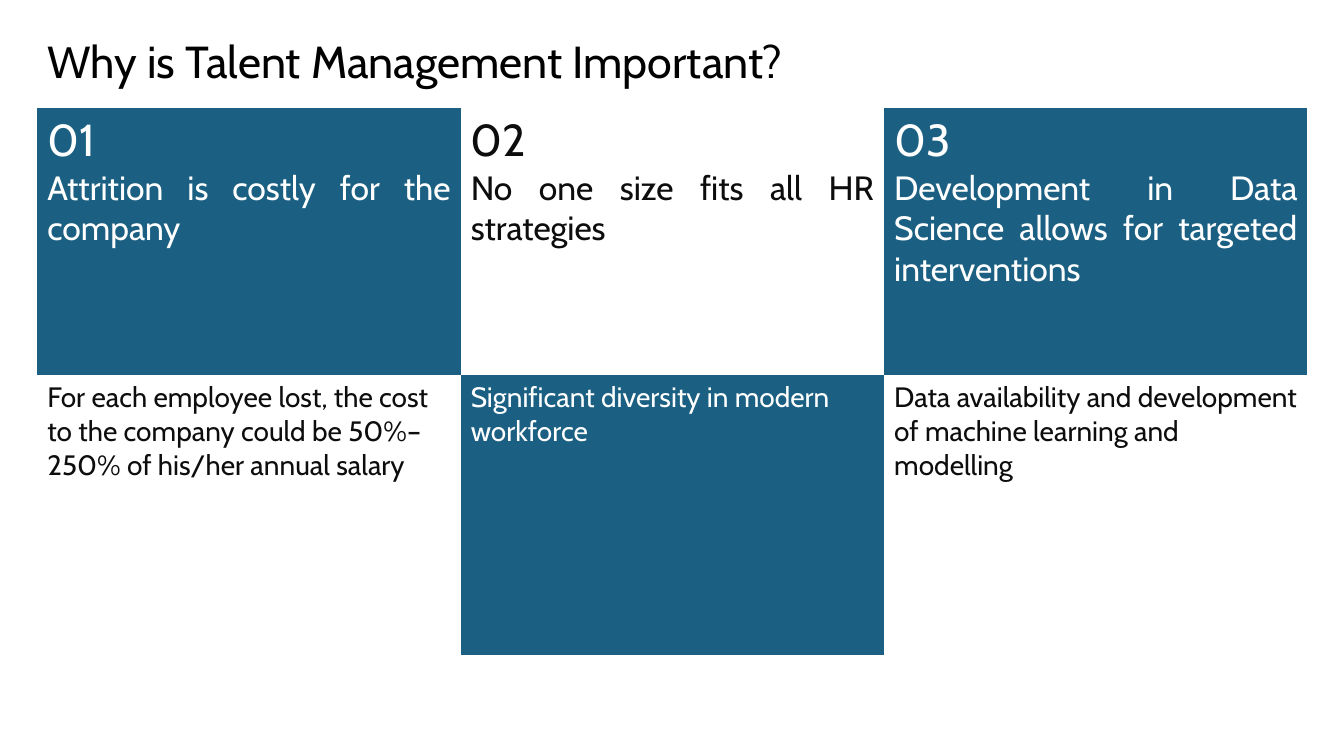
from dataclasses import dataclass

from pptx import Presentation
from pptx.dml.color import RGBColor
from pptx.enum.text import MSO_ANCHOR, PP_ALIGN
from pptx.util import Cm, Pt

LEFT, JUSTIFY = PP_ALIGN.LEFT, PP_ALIGN.JUSTIFY
MIDDLE = MSO_ANCHOR.MIDDLE
BLANK_LAYOUT = 6
NO_STYLE_NO_GRID = "{2D5ABB26-0587-4C30-8999-92F81FD0307C}"

TITLE = "Why is Talent Management Important?"
REASONS = [
    ("Attrition is costly for the company",
     "For each employee lost, the cost to the company could be 50%–250% "
     "of his/her annual salary"),
    ("No one size fits all HR strategies",
     "Significant diversity in modern workforce"),
    ("Development in Data Science allows for targeted interventions",
     "Data availability and development of machine learning and modelling"),
]


@dataclass(frozen=True)
class Theme:
    font: str = "Cabin"
    black: str = "000000"
    ink: str = "0D0D0D"
    white: str = "FFFFFF"
    blue: str = "1B6082"
    title_size: int = 32
    number_size: int = 32
    heading_size: int = 24
    detail_size: int = 20


THEME = Theme()
SLIDE_SIZE = Cm(33.87), Cm(19.05)
TITLE_BOX = Cm(0.94), Cm(-0.23), Cm(29.21), Cm(3.68)
TABLE_LEFT, TABLE_TOP = Cm(0.94), Cm(2.72)
COLUMN_WIDTH = Cm(10.67)
ROW_HEIGHTS = Cm(6.73), Cm(7.06)


def write(para, text, *, size, color, align=LEFT, line_spacing=None):
    para.alignment = align
    if line_spacing:
        para.line_spacing = line_spacing
    span = para.add_run()
    span.text = text
    span.font.name = THEME.font
    span.font.size = Pt(size)
    span.font.color.rgb = RGBColor.from_string(color)


def add_title(page):
    frame = page.shapes.add_textbox(*TITLE_BOX).text_frame
    frame.word_wrap = True
    frame.vertical_anchor = MIDDLE
    write(frame.paragraphs[0], TITLE, size=THEME.title_size,
          color=THEME.black, line_spacing=0.9)


def paint_cell(cell, is_blue):
    """Fill the cell and return the text colour that reads on it."""
    cell.fill.solid()
    cell.fill.fore_color.rgb = RGBColor.from_string(
        THEME.blue if is_blue else THEME.white)
    return THEME.white if is_blue else THEME.ink


def add_reasons(page):
    """Draw the checkerboard: numbered headings above their details."""
    frame = page.shapes.add_table(
        len(ROW_HEIGHTS), len(REASONS), TABLE_LEFT, TABLE_TOP,
        COLUMN_WIDTH * len(REASONS), sum(ROW_HEIGHTS))
    table = frame.table
    table.first_row = table.horz_banding = False
    table._tbl.tblPr.find("{*}tableStyleId").text = NO_STYLE_NO_GRID
    for row, height in zip(table.rows, ROW_HEIGHTS):
        row.height = height

    for index, (heading, detail) in enumerate(REASONS):
        table.columns[index].width = COLUMN_WIDTH
        heading_cell, detail_cell = table.cell(0, index), table.cell(1, index)
        heading_is_blue = index % 2 == 0

        color = paint_cell(heading_cell, heading_is_blue)
        text = heading_cell.text_frame
        write(text.paragraphs[0], f"{index + 1:02}", size=THEME.number_size,
              color=color, align=JUSTIFY)
        write(text.add_paragraph(), heading, size=THEME.heading_size,
              color=color, align=JUSTIFY)

        color = paint_cell(detail_cell, not heading_is_blue)
        write(detail_cell.text_frame.paragraphs[0], detail,
              size=THEME.detail_size, color=color)


def main():
    deck = Presentation()
    deck.slide_width, deck.slide_height = SLIDE_SIZE
    page = deck.slides.add_slide(deck.slide_layouts[BLANK_LAYOUT])
    add_title(page)
    add_reasons(page)
    deck.save("out.pptx")


if __name__ == "__main__":
    main()
